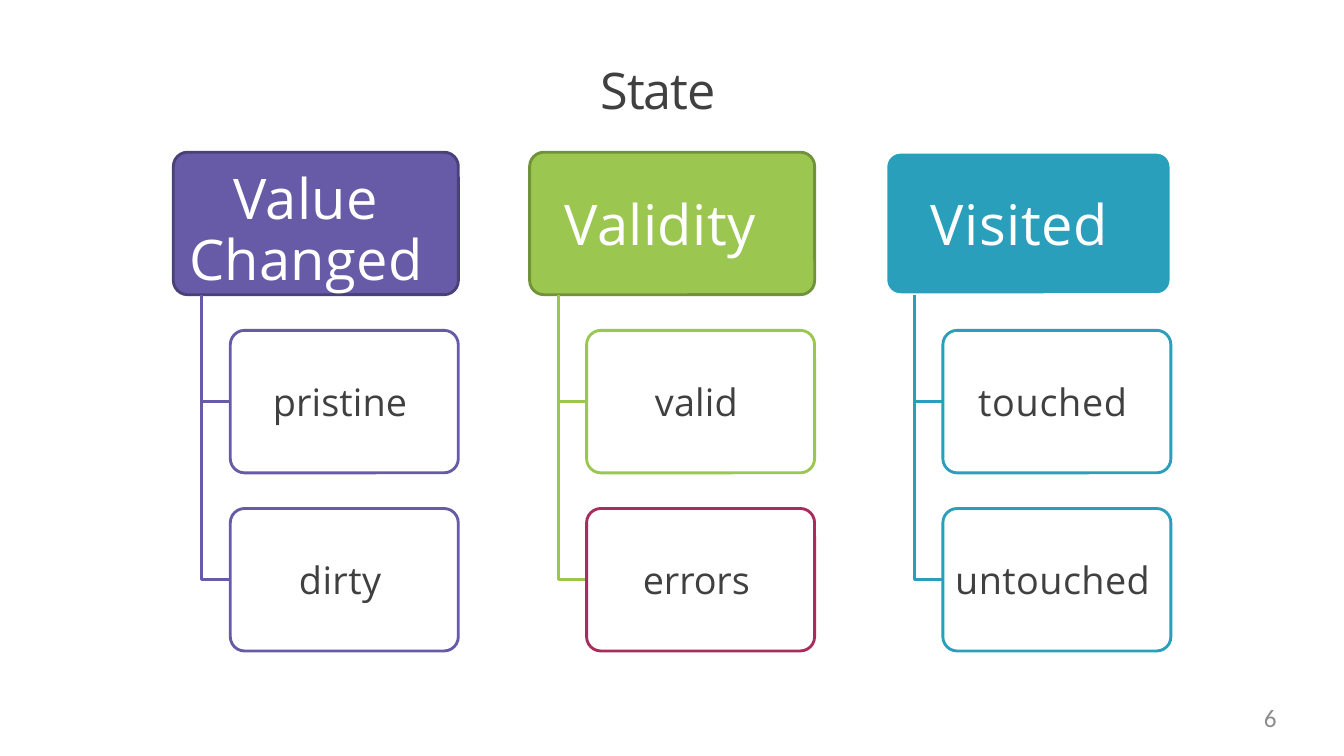
from dataclasses import dataclass
from typing import Optional

import pptx
import pptx.dml.color
import pptx.enum.shapes
import pptx.enum.text
import pptx.util

Pt = pptx.util.Pt
ALIGN = pptx.enum.text.PP_ALIGN
ANCHOR = pptx.enum.text.MSO_ANCHOR

COLORS = {
    "purple": "675BA7", "dark purple": "494179",
    "green": "9BC750", "dark green": "709238",
    "teal": "2A9FBB", "crimson": "A62D5C",
    "white": "FFFFFF", "text": "404040", "page": "8C8C8C",
}

# Grid in points: everything follows from the box height
BOX_H = 101.8
HEADING_W = 2 * BOX_H
COLUMN_PITCH = 2.5 * BOX_H
ROW_PITCH = 1.25 * BOX_H
TRUNK_INDENT = 0.2 * BOX_H
STATE_INDENT = 0.4 * BOX_H
LEFT, TOP = 123.8, 108.7
LINE_W = 2.04


@dataclass
class Label:
    text: str
    size: float
    color: str
    tracking: float = 0
    font: str = "Open Sans"
    align: ALIGN = ALIGN.CENTER
    line_spacing: Optional[float] = None


@dataclass
class Box:
    label: Label
    fill: str
    outline: str
    inset_top: float = 0
    inset_right: float = 0


@dataclass
class Group:
    heading: Box
    branch_color: str
    states: list[Box]


def heading(text: str, tracking: float, fill: str, outline: str, inset_right: float,
            inset_top: float = 0, line_spacing: Optional[float] = None) -> Box:
    label = Label(text, 40, "white", tracking, line_spacing=line_spacing)
    return Box(label, fill, outline, inset_top, inset_right)


def state(text: str, tracking: float, outline: str) -> Box:
    return Box(Label(text, 27, "text", tracking), "white", outline, inset_right=6)


GROUPS = [
    Group(heading("Value Changed", 0.3, "purple", "dark purple", 14, 11, 43.2), "purple",
          [state("pristine", 0.1, "purple"), state("dirty", 0.3, "purple")]),
    Group(heading("Validity", 0.3, "green", "dark green", 17), "green",
          [state("valid", 0.1, "green"), state("errors", -0.1, "crimson")]),
    Group(heading("Visited", 0.5, "teal", "white", 13), "teal",
          [state("touched", 0.5, "teal"), state("untouched", 0.3, "teal")]),
]


def rgb(name: str) -> pptx.dml.color.RGBColor:
    return pptx.dml.color.RGBColor.from_string(COLORS[name])


def write(frame, label: Label) -> None:
    frame.margin_left = frame.margin_top = frame.margin_right = frame.margin_bottom = 0
    paragraph = frame.paragraphs[0]
    paragraph.alignment = label.align
    if label.line_spacing:
        paragraph.line_spacing = Pt(label.line_spacing)
    paragraph.font.name = label.font
    paragraph.font.size = Pt(label.size)
    paragraph.font.color.rgb = rgb(label.color)
    run = paragraph.add_run()
    run.text = label.text
    if label.tracking:
        run._r.get_or_add_rPr().set("spc", str(round(label.tracking * 100)))


def add_text(slide, label: Label, left: float, top: float, width: float, height: float) -> None:
    frame = slide.shapes.add_textbox(Pt(left), Pt(top), Pt(width), Pt(height)).text_frame
    frame.word_wrap = True
    write(frame, label)


def add_box(slide, box: Box, left: float, top: float, width: float) -> None:
    shape = slide.shapes.add_shape(
        pptx.enum.shapes.MSO_SHAPE.ROUNDED_RECTANGLE, Pt(left), Pt(top), Pt(width), Pt(BOX_H))
    shape.adjustments[0] = 0.1
    shape.shadow.inherit = False
    shape.fill.solid()
    shape.fill.fore_color.rgb = rgb(box.fill)
    shape.line.color.rgb = rgb(box.outline)
    shape.line.width = Pt(LINE_W)
    frame = shape.text_frame
    frame.word_wrap = True
    frame.vertical_anchor = ANCHOR.MIDDLE
    write(frame, box.label)
    frame.margin_top = Pt(box.inset_top)
    frame.margin_right = Pt(box.inset_right)


def add_branch(slide, left: float, state_left: float, state_middle: float, color: str) -> None:
    builder = slide.shapes.build_freeform(Pt(left), Pt(TOP + BOX_H))
    builder.add_line_segments(
        [(Pt(left), Pt(state_middle)), (Pt(state_left), Pt(state_middle))], close=False)
    branch = builder.convert_to_shape()
    branch.shadow.inherit = False
    branch.fill.background()
    branch.line.color.rgb = rgb(color)
    branch.line.width = Pt(LINE_W)


def add_group(slide, group: Group, left: float) -> None:
    add_box(slide, group.heading, left, TOP, HEADING_W)
    state_left = left + STATE_INDENT
    for row, box in enumerate(group.states, start=1):
        top = TOP + row * ROW_PITCH
        add_branch(slide, left + TRUNK_INDENT, state_left, top + BOX_H / 2, group.branch_color)
        add_box(slide, box, state_left, top, HEADING_W - STATE_INDENT)


presentation = pptx.Presentation()
presentation.slide_width = Pt(960)
presentation.slide_height = Pt(540)
slide = presentation.slides.add_slide(presentation.slide_layouts[6])

# Title
add_text(slide, Label("State", 36, "text", -0.8, align=ALIGN.LEFT), 429, 42, 94, 45)

# Three groups of states
for column, group in enumerate(GROUPS):
    add_group(slide, group, LEFT + column * COLUMN_PITCH)

# Page number
add_text(slide, Label("6", 18, "page", font="Calibri", align=ALIGN.RIGHT), 691, 502, 221, 27)

presentation.save("out.pptx")
